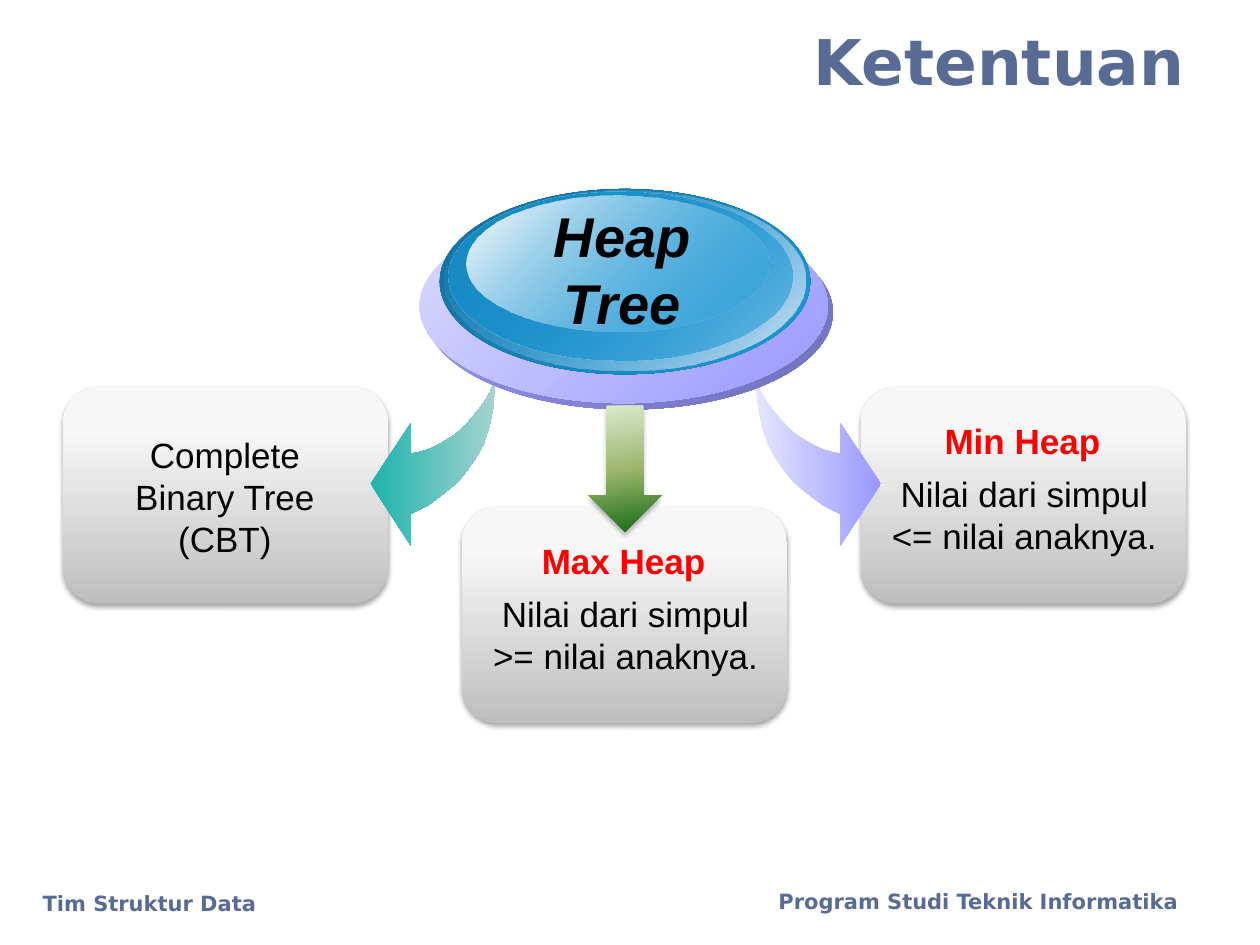
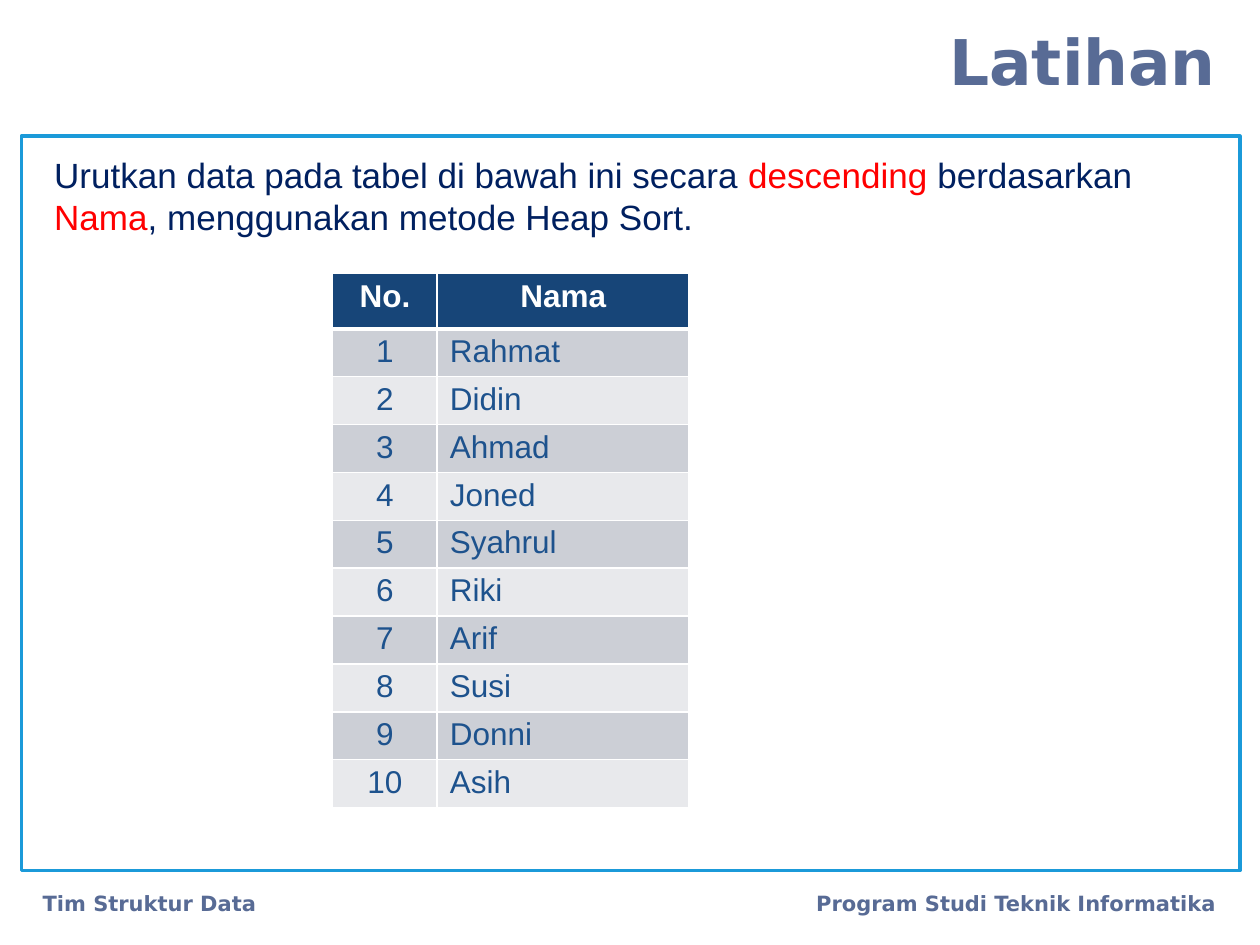
from dataclasses import dataclass

from lxml import etree
from pptx import Presentation
from pptx.dml.color import RGBColor
from pptx.enum.shapes import MSO_SHAPE
from pptx.enum.text import MSO_ANCHOR, MSO_AUTO_SIZE, PP_ALIGN
from pptx.oxml.ns import qn
from pptx.util import Emu, Inches, Pt

LEFT, CENTER, RIGHT = PP_ALIGN.LEFT, PP_ALIGN.CENTER, PP_ALIGN.RIGHT
MIDDLE, TOP = MSO_ANCHOR.MIDDLE, MSO_ANCHOR.TOP
ROUNDED, OVAL = MSO_SHAPE.ROUNDED_RECTANGLE, MSO_SHAPE.OVAL
RECTANGLE, DOWN_ARROW = MSO_SHAPE.RECTANGLE, MSO_SHAPE.DOWN_ARROW
NO_AUTO_SIZE = MSO_AUTO_SIZE.NONE


@dataclass(frozen=True)
class Theme:
    body_font: str = "Arial"
    title_font: str = "DejaVu Sans"
    title_size: int = 36
    hub_size: int = 32
    body_size: int = 20
    table_size: int = 18
    footer_size: int = 12
    slate: str = "586B95"
    black: str = "000000"
    white: str = "FFFFFF"
    red: str = "FF0000"
    navy: str = "002060"
    blue: str = "1B9AD9"
    header_fill: str = "174578"
    table_text: str = "1D528D"
    row_fills: tuple = ("CCCFD6", "E8E9EC")
    card: tuple = ((0, "BEBEBE"), (80, "F7F7F7"), (100, "F8F8F8"))
    teal: tuple = ((0, "1DB3AC"), (100, "A5D3CF"))
    lilac: tuple = ((0, "E5E5FF"), (100, "9999FF"))
    green: tuple = ((0, "DDEBCF"), (50, "9CB86E"), (100, "156B13"))


THEME = Theme()
SLIDE_SIZE = (10, 7.5)

FOOTER_LEFT = "Tim Struktur Data"
FOOTER_RIGHT = "Program Studi Teknik Informatika"

HUB_LINES = ["Heap", "Tree"]
COMPLETE_TREE_LINES = ["Complete Binary Tree", "(CBT)"]
MAX_HEAP = ("Max Heap", "Nilai dari simpul >= nilai anaknya.")
MIN_HEAP = ("Min Heap", "Nilai dari simpul <= nilai anaknya.")

EXERCISE = [
    ("Urutkan data pada tabel di bawah ini secara ", THEME.navy),
    ("descending ", THEME.red),
    ("berdasarkan ", THEME.navy),
    ("Nama", THEME.red),
    (", menggunakan metode Heap Sort.", THEME.navy),
]
TABLE_HEADER = ("No.", "Nama")
NAMES = ["Rahmat", "Didin", "Ahmad", "Joned", "Syahrul",
         "Riki", "Arif", "Susi", "Donni", "Asih"]

CARD_SIZE = (2.58, 1.72)
CARD_LEFTS = [0.5 + column * 3.165 for column in range(3)]
SIDE_CARD_TOP, MIDDLE_CARD_TOP = 3.07, 4.02

HUB_RINGS = [
    ((3.37, 1.71, 3.24, 1.54), ((0, "9999FF"), (100, "7070BA"))),
    ((3.33, 1.66, 3.24, 1.54), ((0, "DADAFF"), (100, "9999FF"))),
    ((3.49, 1.5, 2.94, 1.47), ((0, "136E9B"), (100, THEME.blue))),
    ((3.53, 1.51, 2.86, 1.43), ((0, THEME.blue, 0), (100, "D4E2F3"))),
    ((3.56, 1.52, 2.73, 1.34), ((0, "188BC4"), (100, THEME.blue, 48))),
    ((3.7, 1.55, 2.4, 1.08), ((0, THEME.white), (100, THEME.blue, 38))),
]

MIRROR_SUM = 993
CURVED_ARROW = [
    (393, 297), (393, 312), (391, 326), (388, 340), (384, 352), (378, 363),
    (371, 373), (363, 383), (352, 392), (340, 401), (326, 408), (326, 433),
    (294, 384), (326, 336), (326, 360), (332, 359), (339, 357), (346, 354),
    (353, 350), (361, 345), (368, 339), (374, 332), (380, 325), (385, 318),
    (389, 311), (392, 304),
]


def inches(values):
    return [Inches(value) for value in values]


def add_xml(parent, tag, **attributes):
    return etree.SubElement(parent, qn(tag),
                            {name: str(value) for name, value in attributes.items()})


def place(shape, box):
    shape.left, shape.top, shape.width, shape.height = inches(box)


def write_text(frame, paragraphs, size, color=THEME.black, font=THEME.body_font,
               bold=False, italic=False, align=LEFT, anchor=TOP, wrap=True):
    frame.word_wrap = wrap
    frame.auto_size = NO_AUTO_SIZE
    frame.vertical_anchor = anchor
    for index, content in enumerate(paragraphs):
        paragraph = frame.paragraphs[0] if index == 0 else frame.add_paragraph()
        paragraph.alignment = align
        paragraph.space_before = Pt(0)
        runs = [(content, color)] if isinstance(content, str) else content
        for text, run_color in runs:
            run = paragraph.add_run()
            run.text = text
            run.font.name = font
            run.font.size = Pt(size)
            run.font.bold = bold
            run.font.italic = italic
            run.font.color.rgb = RGBColor.from_string(run_color)


def add_text(slide, box, paragraphs, size=THEME.body_size, **text_format):
    shape = slide.shapes.add_textbox(*inches(box))
    write_text(shape.text_frame, paragraphs, size, **text_format)


def fill_gradient(shape, stops, angle):
    shape.shadow.inherit = False
    shape.line.fill.background()
    shape.fill.gradient()
    shape.fill.gradient_angle = (360 - angle) % 360
    stop_list = shape._element.spPr.find(qn("a:gradFill")).find(qn("a:gsLst"))
    for stop in list(stop_list):
        stop_list.remove(stop)
    for position, color, *opacity in stops:
        stop = add_xml(stop_list, "a:gs", pos=position * 1000)
        color_node = add_xml(stop, "a:srgbClr", val=color)
        if opacity:
            add_xml(color_node, "a:alpha", val=opacity[0] * 1000)


def add_gradient_shape(slide, kind, box, stops, angle, shadow=False):
    shape = slide.shapes.add_shape(kind, *inches(box))
    fill_gradient(shape, stops, angle)
    if shadow:
        effects = shape._element.spPr.find(qn("a:effectLst"))
        outer = add_xml(effects, "a:outerShdw", blurRad=Pt(3.1), dist=Pt(1.8),
                        dir=90 * 60000, rotWithShape=0)
        add_xml(add_xml(outer, "a:srgbClr", val=THEME.black), "a:alpha", val=35000)


def add_card(slide, left, top):
    add_gradient_shape(slide, ROUNDED, (left, top, *CARD_SIZE), THEME.card, 270, shadow=True)


def add_heap_text(slide, left, top, texts):
    heading, rule = texts
    add_text(slide, (left + 0.17, top + 0.21, 2.23, 0.44), [heading],
             color=THEME.red, bold=True, align=CENTER)
    add_text(slide, (left + 0.09, top + 0.63, 2.42, 0.77), [rule], align=CENTER)


def add_curved_arrow(slide, points, stops):
    builder = slide.shapes.build_freeform(*points[0], scale=Inches(0.01))
    builder.add_line_segments(points[1:], close=True)
    fill_gradient(builder.convert_to_shape(), stops, 0)


def add_slide(presentation, layout_index, title, title_left, footer_top, footer_align):
    slide = presentation.slides.add_slide(presentation.slide_layouts[layout_index])
    place(slide.shapes.title, (title_left, 0.17, 9, 0.62))
    brand = {"color": THEME.slate, "font": THEME.title_font, "bold": True}
    write_text(slide.shapes.title.text_frame, [title], THEME.title_size,
               align=RIGHT, anchor=MIDDLE, **brand)
    add_text(slide, (0.24, 7.02, 3.01, 0.35), [FOOTER_LEFT], THEME.footer_size, **brand)
    add_text(slide, (6.08, footer_top, 3.67, 0.5), [FOOTER_RIGHT], THEME.footer_size,
             align=footer_align, **brand)
    return slide


def build_rules_slide(presentation):
    slide = add_slide(presentation, 5, "Ketentuan", 0.5, 7, LEFT)
    left, middle, right = CARD_LEFTS
    add_card(slide, left, SIDE_CARD_TOP)
    add_card(slide, right, SIDE_CARD_TOP)
    add_curved_arrow(slide, CURVED_ARROW, THEME.teal)
    add_curved_arrow(slide, [(MIRROR_SUM - x, y) for x, y in CURVED_ARROW], THEME.lilac)
    for box, stops in HUB_RINGS:
        add_gradient_shape(slide, OVAL, box, stops, 45)
    add_text(slide, (4.29, 1.55, 1.3, 1.18), HUB_LINES, THEME.hub_size,
             bold=True, italic=True, align=CENTER, wrap=False)
    add_text(slide, (left + 0.17, SIDE_CARD_TOP + 0.32, 2.23, 1.11),
             COMPLETE_TREE_LINES, align=CENTER)
    add_card(slide, middle, MIDDLE_CARD_TOP)
    add_gradient_shape(slide, DOWN_ARROW, (4.67, 3.22, 0.58, 1), THEME.green, 80, shadow=True)
    add_heap_text(slide, middle, MIDDLE_CARD_TOP, MAX_HEAP)
    add_heap_text(slide, right, SIDE_CARD_TOP, MIN_HEAP)


def format_cell(cell, text, fill, top_width, bottom_width, **text_format):
    properties = cell._tc.get_or_add_tcPr()
    for side, width in (("L", 1), ("R", 1), ("T", top_width), ("B", bottom_width)):
        border = add_xml(properties, f"a:ln{side}", w=Pt(width))
        add_xml(add_xml(border, "a:solidFill"), "a:srgbClr", val=THEME.white)
    cell.fill.solid()
    cell.fill.fore_color.rgb = RGBColor.from_string(fill)
    cell.margin_top = cell.margin_bottom = Inches(0.04)
    write_text(cell.text_frame, [text], THEME.table_size, **text_format)


def add_name_table(slide):
    rows = [TABLE_HEADER] + [(str(number), name) for number, name in enumerate(NAMES, 1)]
    table = slide.shapes.add_table(len(rows), 2, *inches((2.64, 2.17, 2.83, 4.24))).table
    for column, width in zip(table.columns, (0.83, 2)):
        column.width = Inches(width)
    for row_index, row in enumerate(rows):
        is_header = row_index == 0
        table.rows[row_index].height = Inches(0.44 if is_header else 0.38)
        for column_index, text in enumerate(row):
            format_cell(
                table.cell(row_index, column_index), text,
                THEME.header_fill if is_header else THEME.row_fills[(row_index - 1) % 2],
                3 if row_index == 1 else 1,
                3 if is_header else 1,
                color=THEME.white if is_header else THEME.table_text,
                bold=is_header,
                align=CENTER if is_header or column_index == 0 else LEFT,
            )


def build_exercise_slide(presentation):
    slide = add_slide(presentation, 1, "Latihan", 0.75, 7.02, RIGHT)
    frame = slide.shapes.add_shape(RECTANGLE, *inches((0.17, 1.08, 9.67, 5.83)))
    frame.shadow.inherit = False
    frame.fill.background()
    frame.line.color.rgb = RGBColor.from_string(THEME.blue)
    frame.line.width = Pt(2)
    add_name_table(slide)
    body = slide.placeholders[1]
    place(body, (0.33, 1.17, 9.25, 0.77))
    write_text(body.text_frame, [EXERCISE], THEME.body_size)
    properties = body.text_frame.paragraphs[0]._p.get_or_add_pPr()
    properties.set("marL", "0")
    properties.set("indent", "0")
    add_xml(properties, "a:buNone")


def main():
    presentation = Presentation()
    presentation.slide_width, presentation.slide_height = (
        Emu(value) for value in inches(SLIDE_SIZE))
    build_rules_slide(presentation)
    build_exercise_slide(presentation)
    presentation.save("out.pptx")


if __name__ == "__main__":
    main()
